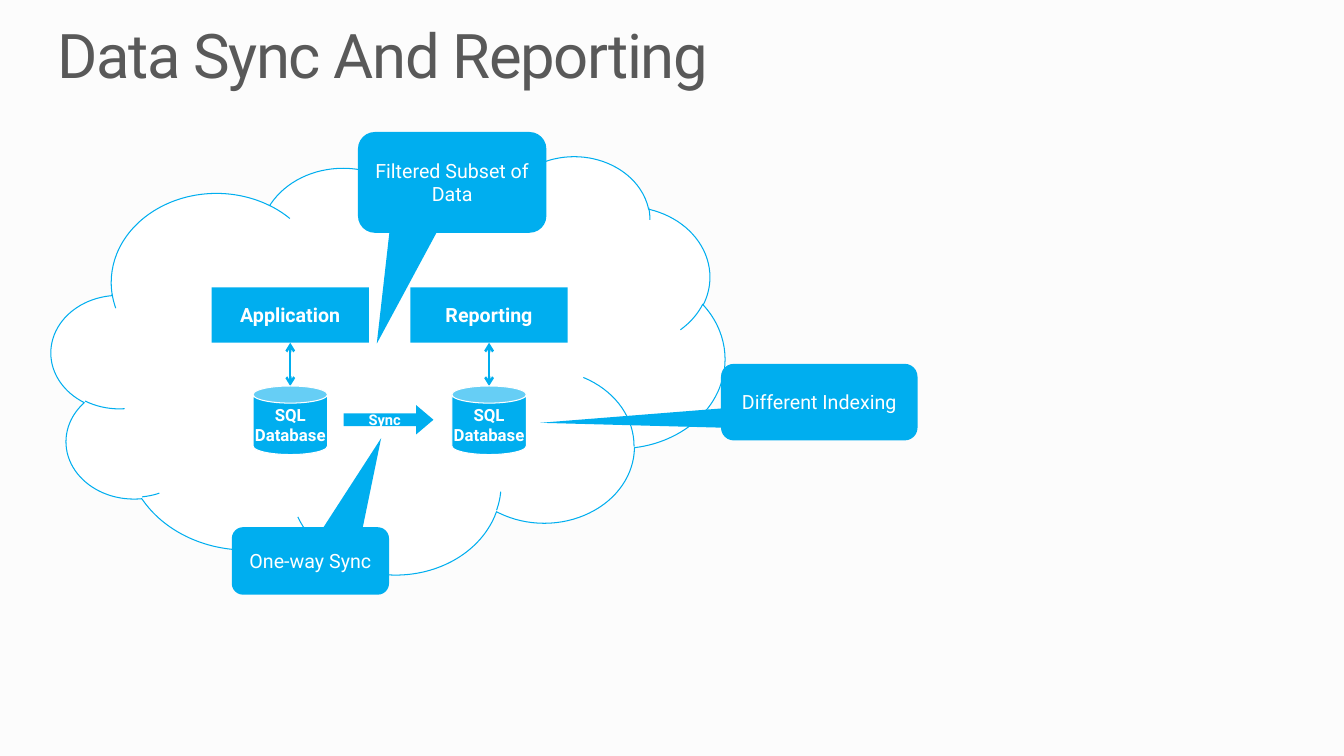
import dataclasses

import lxml.etree
import pptx
import pptx.dml.color
import pptx.enum.shapes
import pptx.enum.text
import pptx.oxml.ns
import pptx.util

Pt = pptx.util.Pt
RGB = pptx.dml.color.RGBColor.from_string
KIND = pptx.enum.shapes.MSO_SHAPE
ALIGN = pptx.enum.text.PP_ALIGN
ANCHOR = pptx.enum.text.MSO_ANCHOR
qn = pptx.oxml.ns.qn


@dataclasses.dataclass(frozen=True)
class Theme:
    font: str = "Roboto"
    back: str = "FCFCFC"
    white: str = "FFFFFF"
    blue: str = "00AEEF"
    gray: str = "595959"
    head: float = 44
    body: float = 14
    store: float = 12
    small: float = 10.5
    thin: float = 0.75
    thick: float = 1.75


THEME = Theme()


def add_run(para, text, size, color, bold=False):
    run = para.add_run()
    run.text = text
    font = run.font
    font.name, font.size, font.bold = THEME.font, Pt(size), bold
    font.color.rgb = RGB(color)
    return run


def add_form(slide, kind, box, fill=THEME.blue, line=None, adjust=()):
    """Add a flat preset shape; box is left, top, width, height."""
    form = slide.shapes.add_shape(kind, *map(Pt, box))
    form.shadow.inherit = False
    form.fill.solid()
    form.fill.fore_color.rgb = RGB(fill)
    if line:
        form.line.color.rgb = RGB(line)
        form.line.width = Pt(THEME.thin)
    else:
        form.line.fill.background()
    for index, value in enumerate(adjust):
        form.adjustments[index] = value
    return form


def add_label(form, text, size, bold=False, pad=(0, 0)):
    frame = form.text_frame
    frame.word_wrap = True
    frame.vertical_anchor = ANCHOR.MIDDLE
    frame.margin_left = frame.margin_right = Pt(pad[0])
    frame.margin_top = frame.margin_bottom = Pt(pad[1])
    para = frame.paragraphs[0]
    para.alignment = ALIGN.CENTER
    add_run(para, text, size, THEME.white, bold)


def add_link(slide, x, top, end):
    """Add a vertical arrow with a head at both ends."""
    link = slide.shapes.add_connector(
        pptx.enum.shapes.MSO_CONNECTOR.STRAIGHT, Pt(x), Pt(top), Pt(x), Pt(end))
    link.line.color.rgb = RGB(THEME.blue)
    link.line.width = Pt(THEME.thick)
    for tag in ("a:headEnd", "a:tailEnd"):
        lxml.etree.SubElement(link.line._ln, qn(tag), type="arrow")
    lxml.etree.SubElement(link._element.spPr, qn("a:effectLst"))


def add_title(slide, box, text):
    title = slide.shapes.title
    title.left, title.top, title.width, title.height = map(Pt, box)
    frame = title.text_frame
    frame.word_wrap = True
    frame.auto_size = pptx.enum.text.MSO_AUTO_SIZE.NONE
    frame.vertical_anchor = ANCHOR.TOP
    frame.margin_left = frame.margin_right = 0
    frame.margin_top = frame.margin_bottom = 0
    para = frame.paragraphs[0]
    para.alignment = ALIGN.LEFT
    para.line_spacing = 0.9
    run = add_run(para, text, THEME.head, THEME.gray)
    run.font._element.set("spc", "-100")


def add_stack(slide, box, name):
    """Add a service above its database, joined by an arrow."""
    left, top, width, height = box
    head, can_w, can_h = 39.6, 53.2, 49
    mid, can_top = left + width / 2, top + height - can_h
    form = add_form(slide, KIND.RECTANGLE, (left, top, width, head))
    add_label(form, name, THEME.body, True, (7.2, 3.6))
    add_link(slide, mid, top + head, can_top)
    can = add_form(slide, KIND.CAN, (mid - can_w / 2, can_top, can_w, can_h),
                   line=THEME.white)
    add_label(can, "SQL Database", THEME.store, True)


def add_note(slide, box, text, tip):
    """Add a callout; tip is its offset from the centre, in box sizes."""
    note = add_form(slide, KIND.ROUNDED_RECTANGULAR_CALLOUT, box,
                    adjust=(*tip, 0.167))
    add_label(note, text, THEME.body, pad=(7.2, 3.6))


def add_cloud(slide, box):
    left, top, width, height = box
    add_form(slide, KIND.CLOUD, box, THEME.white, THEME.blue)
    for index, name in enumerate(("Application", "Reporting")):
        add_stack(slide, (left + 114.5 + 142 * index, top + 94.3, 112.3, 119.5),
                  name)
    notes = (
        ((128.9, 265.7, 112.3, 48.2), "One-way Sync", (0.45, -1.82)),
        ((478.3, 149, 140.4, 54.7), "Different Indexing", (-1.42, 0.27)),
        ((219, -16.6, 134.6, 72), "Filtered Subset of Data", (-0.4, 1.6)),
    )
    for (x, y, wide, high), text, tip in notes:
        add_note(slide, (left + x, top + y, wide, high), text, tip)
    arrow = add_form(slide, KIND.RIGHT_ARROW,
                     (left + 208.8, top + 178.5, 64.1, 20.9),
                     adjust=(0.44, 0.59))
    add_label(arrow, "Sync", THEME.small, True)


def main():
    deck = pptx.Presentation()
    deck.slide_width, deck.slide_height = Pt(960), Pt(540)
    slide = deck.slides.add_slide(deck.slide_layouts[5])
    slide.background.fill.solid()
    slide.background.fill.fore_color.rgb = RGB(THEME.back)
    add_title(slide, (41, 18, 877.7, 48.2), "Data Sync And Reporting")
    add_cloud(slide, (36.7, 110.9, 481, 298.8))
    deck.save("out.pptx")


if __name__ == "__main__":
    main()
